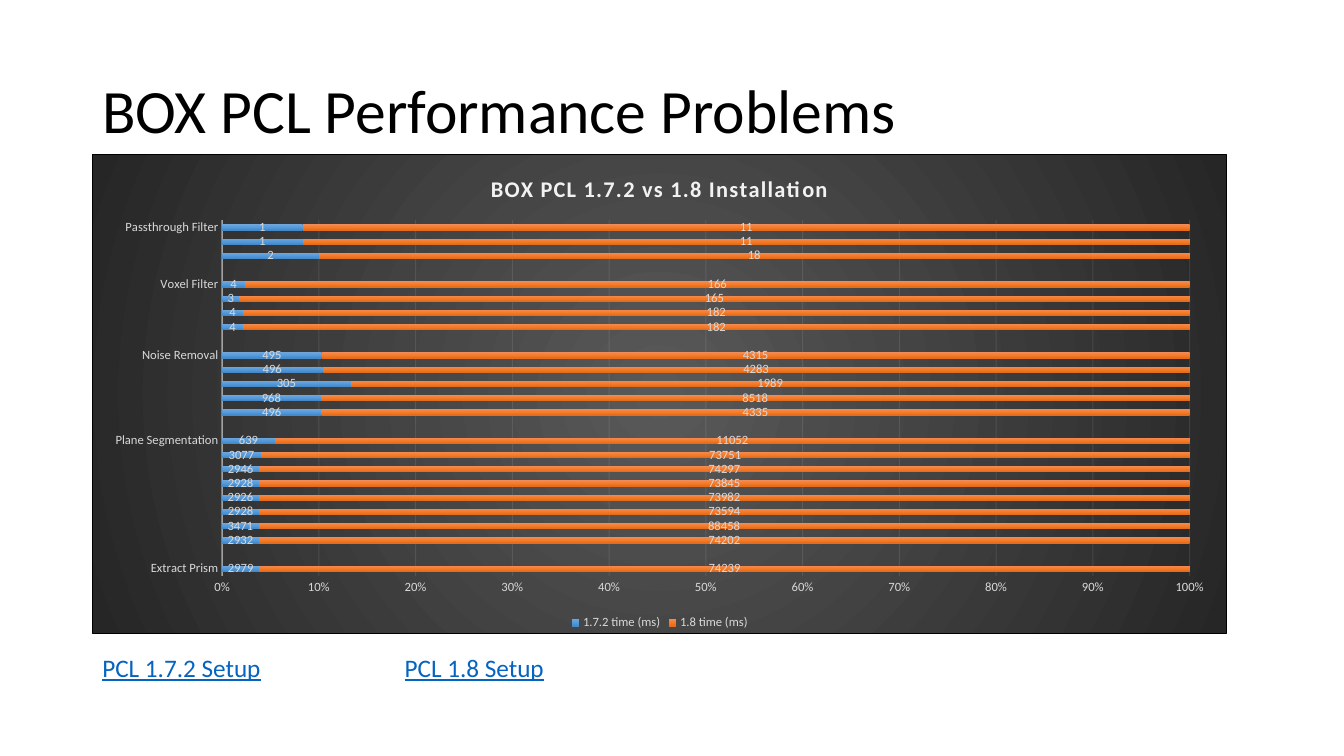
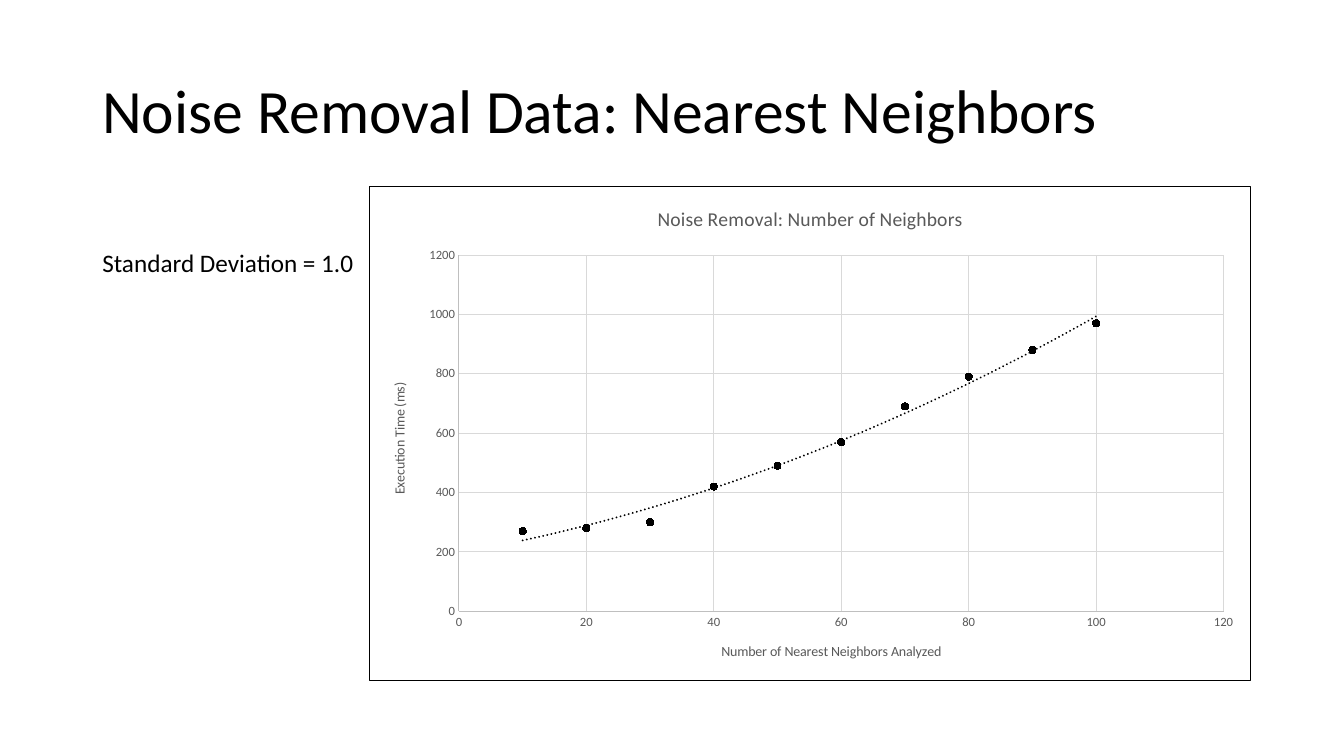
"""Build two slides of point cloud timing charts."""
from pptx import Presentation
from pptx.chart.data import CategoryChartData, XyChartData
from pptx.dml.color import RGBColor
from pptx.enum.chart import (XL_CHART_TYPE, XL_LABEL_POSITION, XL_LEGEND_POSITION,
                             XL_MARKER_STYLE, XL_TICK_MARK)
from pptx.enum.text import MSO_ANCHOR
from pptx.oxml import parse_xml
from pptx.oxml.ns import nsdecls, qn
from pptx.util import Pt

STACKED, SCATTER = XL_CHART_TYPE.BAR_STACKED_100, XL_CHART_TYPE.XY_SCATTER
CENTER, BOTTOM = XL_LABEL_POSITION.CENTER, XL_LEGEND_POSITION.BOTTOM
CIRCLE, NONE = XL_MARKER_STYLE.CIRCLE, XL_TICK_MARK.NONE
MIDDLE = MSO_ANCHOR.MIDDLE
FACE, BLACK, LINK = "Calibri", "000000", "0563C1"
PALE, LIGHT, GRAY, RULE, EDGE = "D9D9D9", "F2F2F2", "595959", "D9D9D9", "BFBFBF"
LEFT = 66


def ink(font, size, color, bold=False):
    """Set face, size, colour and weight of a font."""
    font.name, font.size, font.bold = FACE, Pt(size), bold
    font.color.rgb = RGBColor.from_string(color)


def blend(stops, shade):
    """Return gradient XML with evenly spaced stops."""
    step = 100000 // (len(stops) - 1)
    marks = "".join(f'<a:gs pos="{i * step}"><a:srgbClr val="{c}"/></a:gs>'
                    for i, c in enumerate(stops))
    return f'<a:gradFill {nsdecls("a")}><a:gsLst>{marks}</a:gsLst>{shade}</a:gradFill>'


deck = Presentation()
deck.slide_width, deck.slide_height = Pt(960), Pt(540)
slides = []
for title in ("BOX PCL Performance Problems", "Noise Removal Data: Nearest Neighbors"):
    slide = deck.slides.add_slide(deck.slide_layouts[6])
    frame = slide.shapes.add_textbox(Pt(LEFT), Pt(28.8), Pt(828), Pt(104.4)).text_frame
    frame.word_wrap, frame.vertical_anchor = True, MIDDLE
    para = frame.paragraphs[0]
    para.text, para.line_spacing = title, 0.9
    ink(para.font, 44, BLACK)
    slides.append(slide)
first, second = slides

names = {0: "Extract Prism", 9: "Plane Segmentation", 15: "Noise Removal",
         20: "Voxel Filter", 24: "Passthrough Filter"}
bars = CategoryChartData()
bars.categories = [names.get(i, "") for i in range(25)]
bars.add_series("1.7.2 time (ms)", [
    2979, None, 2932, 3471, 2928, 2926, 2928, 2946, 3077, 639, None,
    496, 968, 305, 496, 495, None, 4, 4, 3, 4, None, 2, 1, 1])
bars.add_series("1.8 time (ms)", [
    74239, None, 74202, 88458, 73594, 73982, 73845, 74297, 73751, 11052, None,
    4335, 8518, 1989, 4283, 4315, None, 182, 182, 165, 166, None, 18, 11, 11])
dots = XyChartData()
run = dots.add_series("Series 1")
for i, time in enumerate((270, 280, 300, 420, 490, 570, 690, 790, 880, 970), 1):
    run.add_data_point(i * 10, time)

focus = ('<a:path path="circle"><a:fillToRect l="50000" t="50000" r="50000" b="50000"/>'
         '</a:path>')
charts = []
for slide, kind, data, box, title, look, tone, fill in (
    (first, STACKED, bars, (LEFT, 110.2, 810.4, 343),
     "BOX PCL 1.7.2 vs 1.8 Installation", (16, LIGHT, True), PALE,
     blend(("595959", "262626"), focus)),
    (second, SCATTER, dots, (263.8, 133, 630, 353.5),
     "Noise Removal: Number of Neighbors", (14, GRAY), GRAY, "<a:noFill/>"),
):
    chart = slide.shapes.add_chart(kind, *map(Pt, box), data).chart
    ink(chart.font, 10, BLACK)
    chart.has_title = True
    para = chart.chart_title.text_frame.paragraphs[0]
    para.text = title
    ink(para.font, *look)
    for axis in (chart.category_axis, chart.value_axis):
        axis.major_tick_mark = axis.minor_tick_mark = NONE
        ink(axis.tick_labels.font, 9, tone)
    chart._chartSpace.chart.addnext(parse_xml(
        f'<c:spPr {nsdecls("c", "a")}>{fill}<a:ln w="9525"><a:solidFill>'
        f'<a:srgbClr val="{BLACK}"/></a:solidFill></a:ln></c:spPr>'))
    charts.append(chart)
stack, plot = charts

stack.plots[0].gap_width, stack.plots[0].overlap = 150, 100
stack.plots[0].vary_by_categories = False
stack.has_legend = True
stack.legend.position, stack.legend.include_in_layout = BOTTOM, False
ink(stack.legend.font, 9, PALE)
stack.chart_title.text_frame.paragraphs[0].font._rPr.set("spc", "100")
base, scale = stack.category_axis, stack.value_axis
base.has_major_gridlines, scale.has_major_gridlines = False, True
scale.tick_labels.number_format = "0%"
scale.tick_labels.number_format_is_linked = False
scale.format.line.fill.background()
for axis, line, width, part, alpha in (
    (base, base.format.line, 1, "c:spPr", 54000),
    (scale, scale.major_gridlines.format.line, 0.75, "c:majorGridlines", 10000),
):
    line.width = Pt(width)
    line.color.rgb = RGBColor.from_string(LIGHT)
    for color in axis._element.xpath(f"{part}//a:srgbClr"):
        color.append(parse_xml(f'<a:alpha {nsdecls("a")} val="{alpha}"/>'))
hues = (("71A6DB", "559BDB", "448ACA"), ("F18C57", "F67B28", "E56C19"))
for series, stops in zip(stack.plots[0].series, hues):
    series._element.get_or_add_spPr().append(
        parse_xml(blend(stops, '<a:lin ang="5400000" scaled="0"/>')))
    labels = series.data_labels
    labels.show_value, labels.position = True, CENTER
    ink(labels.font, 9, PALE)

plot.has_legend = False
plot.plots[0].vary_by_categories = False
for axis, title, top, unit in (
    (plot.category_axis, "Number of Nearest Neighbors Analyzed", 120, 20),
    (plot.value_axis, "Execution Time (ms)", 1200, 200),
):
    axis.minimum_scale, axis.maximum_scale, axis.major_unit = 0, top, unit
    axis.has_major_gridlines = True
    para = axis.axis_title.text_frame.paragraphs[0]
    para.text = title
    ink(para.font, 10, GRAY)
    for line, color in ((axis.format.line, EDGE), (axis.major_gridlines.format.line, RULE)):
        line.width = Pt(0.75)
        line.color.rgb = RGBColor.from_string(color)
series = plot.plots[0].series[0]
series.format.line.fill.background()
mark = series.marker
mark.style, mark.size = CIRCLE, 5
mark.format.fill.solid()
mark.format.fill.fore_color.rgb = RGBColor.from_string(BLACK)
mark.format.line.color.rgb = RGBColor.from_string(BLACK)
series._element.find(qn("c:xVal")).addprevious(parse_xml(
    f'<c:trendline {nsdecls("c", "a")}><c:spPr><a:ln w="19050" cap="rnd"><a:solidFill>'
    f'<a:srgbClr val="{BLACK}"/></a:solidFill><a:prstDash val="sysDot"/></a:ln></c:spPr>'
    '<c:trendlineType val="poly"/><c:order val="2"/><c:dispRSqr val="0"/>'
    '<c:dispEq val="0"/></c:trendline>'))

for slide, top, width, words, color in (
    (first, 462.2, 332, ("PCL 1.7.2 Setup", "\t", "PCL 1.8 Setup"), LINK),
    (second, 172.8, 242, ("Standard Deviation = 1.0",), BLACK),
):
    frame = slide.shapes.add_textbox(Pt(LEFT), Pt(top), Pt(width), Pt(28.8)).text_frame
    frame.word_wrap = True
    para = frame.paragraphs[0]
    ink(para.font, 18, color)
    para._p.get_or_add_pPr().insert(0, parse_xml(
        f'<a:tabLst {nsdecls("a")}><a:tab pos="{Pt(216)}" algn="l"/></a:tabLst>'))
    for word in words:
        run = para.add_run()
        run.text = word
        run.font.underline = color == LINK and word != "\t"

deck.save("out.pptx")
